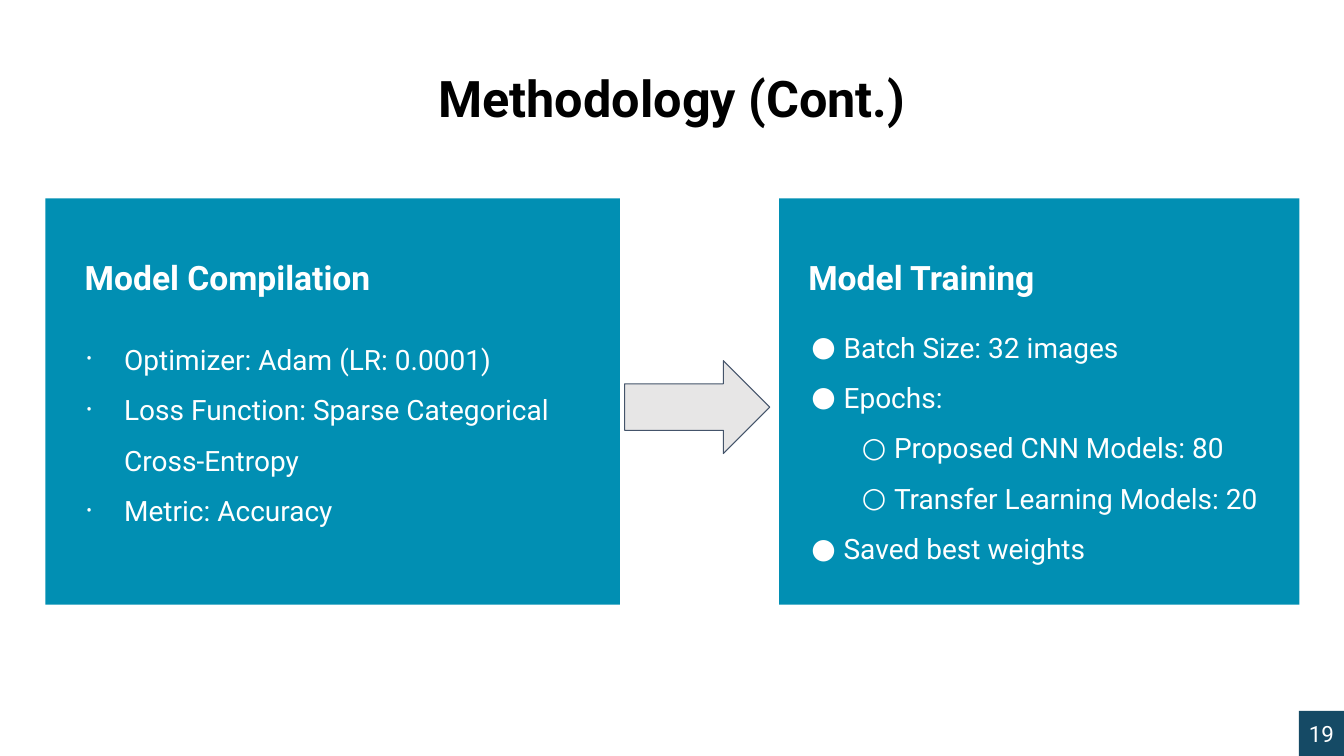
from lxml import etree
from pptx import Presentation
from pptx.dml.color import RGBColor
from pptx.enum.shapes import MSO_SHAPE
from pptx.enum.text import MSO_ANCHOR, PP_ALIGN
from pptx.oxml.ns import qn
from pptx.util import Pt

RECTANGLE, ARROW = MSO_SHAPE.RECTANGLE, MSO_SHAPE.RIGHT_ARROW
TOP, MIDDLE, BOTTOM = MSO_ANCHOR.TOP, MSO_ANCHOR.MIDDLE, MSO_ANCHOR.BOTTOM
LEFT, CENTER = PP_ALIGN.LEFT, PP_ALIGN.CENTER

COLORS = {
    "title": "000000",
    "text": "FFFFFF",
    "panel": "018FB3",
    "arrow": "E7E6E6",
    "outline": "44546A",
    "corner": "154A65",
}
FONT = "Roboto"
TITLE = "Methodology (Cont.)"
PAGE_NUMBER = "19"
PANELS = [
    {
        "heading": "Model Compilation",
        "items": [
            (0, "Optimizer: Adam (LR: 0.0001)"),
            (0, "Loss Function: Sparse Categorical Cross-Entropy"),
            (0, "Metric: Accuracy"),
        ],
        "left": 32.4, "width": 410.4, "heading_left": 60.5,
        "list_area": (48.2, 229, 368.6, 152.6),
        "bullets": "•", "bullet_size": 60, "indent": 40.5, "hanging": 27,
    },
    {
        "heading": "Model Training",
        "items": [
            (0, "Batch Size: 32 images"),
            (0, "Epochs:"),
            (1, "Proposed CNN Models: 80"),
            (1, "Transfer Learning Models: 20"),
            (0, "Saved best weights"),
        ],
        "left": 556.6, "width": 371.5, "heading_left": 577.4,
        "list_area": (566.6, 220.3, 361.4, 207.4),
        "bullets": "●○", "bullet_size": 100, "indent": 36, "hanging": 23,
    },
]
PANEL_TOP, PANEL_HEIGHT = 141.8, 290.2
HEADING_TOP, HEADING_WIDTH, HEADING_HEIGHT = 180, 306, 36
SLIDE_WIDTH, SLIDE_HEIGHT, CORNER = 960, 540, 32.2


def add_block(page, kind, area, fill, line=None):
    block = page.shapes.add_shape(kind, *map(Pt, area))
    block.shadow.inherit = False
    block.fill.solid()
    block.fill.fore_color.rgb = RGBColor.from_string(COLORS[fill])
    if line:
        block.line.color.rgb = RGBColor.from_string(COLORS[line])
        block.line.width = Pt(0.75)
    else:
        block.line.fill.background()


def add_bullet(para, level, panel):
    para.level = level
    para.line_spacing = 1.5
    properties = para._p.get_or_add_pPr()
    properties.set("marL", str(Pt(panel["indent"] + 36 * level)))
    properties.set("indent", str(-Pt(panel["hanging"])))
    color = etree.SubElement(properties, qn("a:buClr"))
    etree.SubElement(color, qn("a:srgbClr"), val=COLORS["text"])
    etree.SubElement(properties, qn("a:buSzPct"), val=str(panel["bullet_size"] * 1000))
    etree.SubElement(properties, qn("a:buFont"), typeface=FONT)
    etree.SubElement(properties, qn("a:buChar"), char=panel["bullets"][level])


def add_text(page, area, items, size, color="text", bold=False,
             align=LEFT, anchor=MIDDLE, inset=3.6, panel=None):
    box = page.shapes.add_textbox(*map(Pt, area))
    frame = box.text_frame
    frame.word_wrap = True
    frame.vertical_anchor = anchor
    frame.margin_left = frame.margin_right = 0
    frame.margin_top = frame.margin_bottom = Pt(inset)
    for index, (level, text) in enumerate(items):
        para = frame.add_paragraph() if index else frame.paragraphs[0]
        para.alignment = align
        if panel:
            add_bullet(para, level, panel)
        span = para.add_run()
        span.text = text
        span.font.name = FONT
        span.font.size = Pt(size)
        span.font.bold = bold
        span.font.color.rgb = RGBColor.from_string(COLORS[color])


def main():
    deck = Presentation()
    deck.slide_width, deck.slide_height = Pt(SLIDE_WIDTH), Pt(SLIDE_HEIGHT)
    page = deck.slides.add_slide(deck.slide_layouts[6])

    corner = (SLIDE_WIDTH - CORNER, SLIDE_HEIGHT - CORNER, CORNER, CORNER)
    add_block(page, RECTANGLE, corner, "corner")
    add_text(page, (298, 49, 364, 46), [(0, TITLE)], 36, color="title",
             bold=True, align=CENTER, anchor=BOTTOM)
    add_text(page, corner, [(0, PAGE_NUMBER)], 16, align=CENTER, inset=0)
    add_block(page, ARROW, (446.2, 257.6, 103.7, 66.4), "arrow", line="outline")

    for panel in PANELS:
        add_block(page, RECTANGLE,
                  (panel["left"], PANEL_TOP, panel["width"], PANEL_HEIGHT), "panel")
        add_text(page, (panel["heading_left"], HEADING_TOP, HEADING_WIDTH, HEADING_HEIGHT),
                 [(0, panel["heading"])], 24, bold=True)
        add_text(page, panel["list_area"], panel["items"], 20, anchor=TOP, panel=panel)

    deck.save("out.pptx")


if __name__ == "__main__":
    main()
